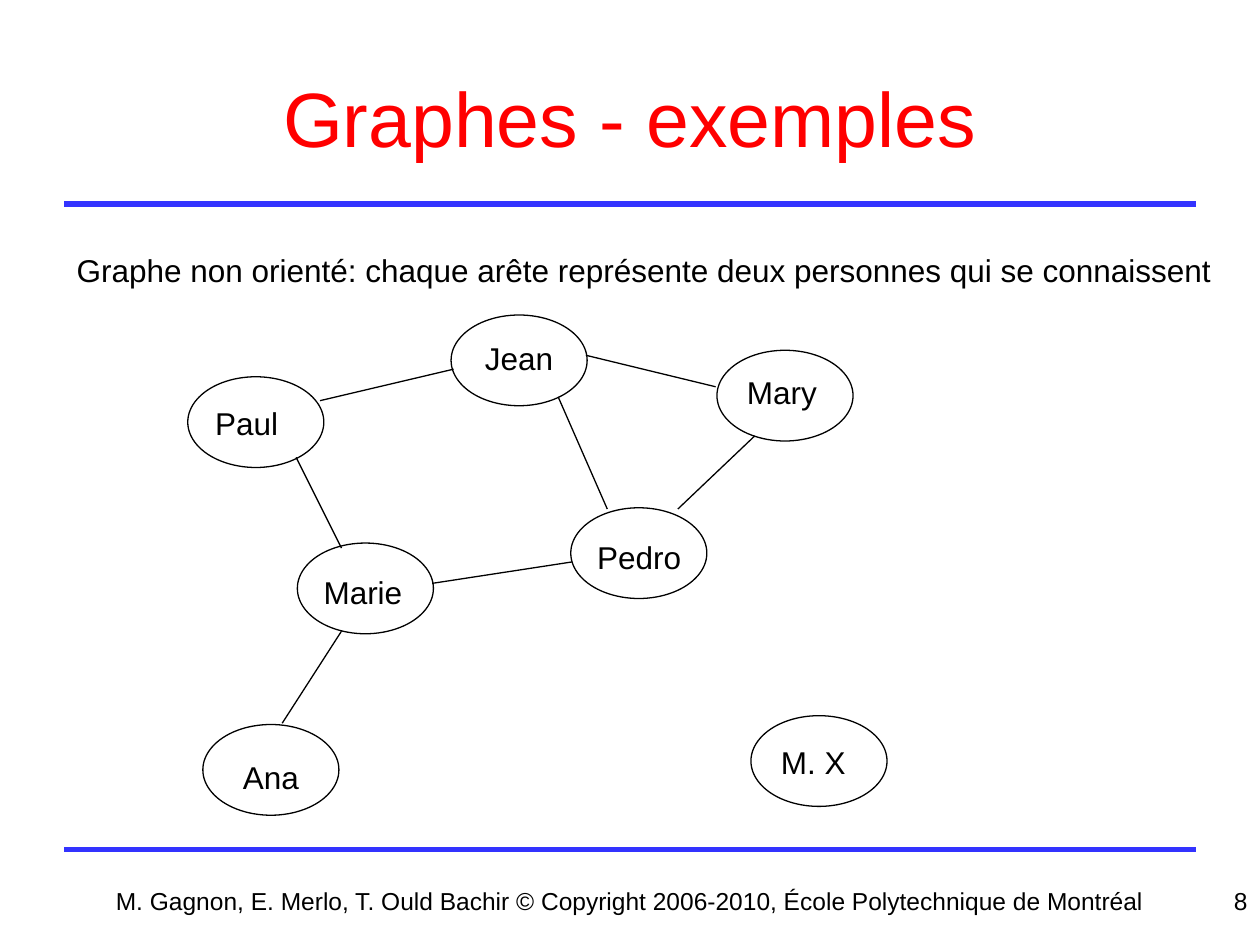
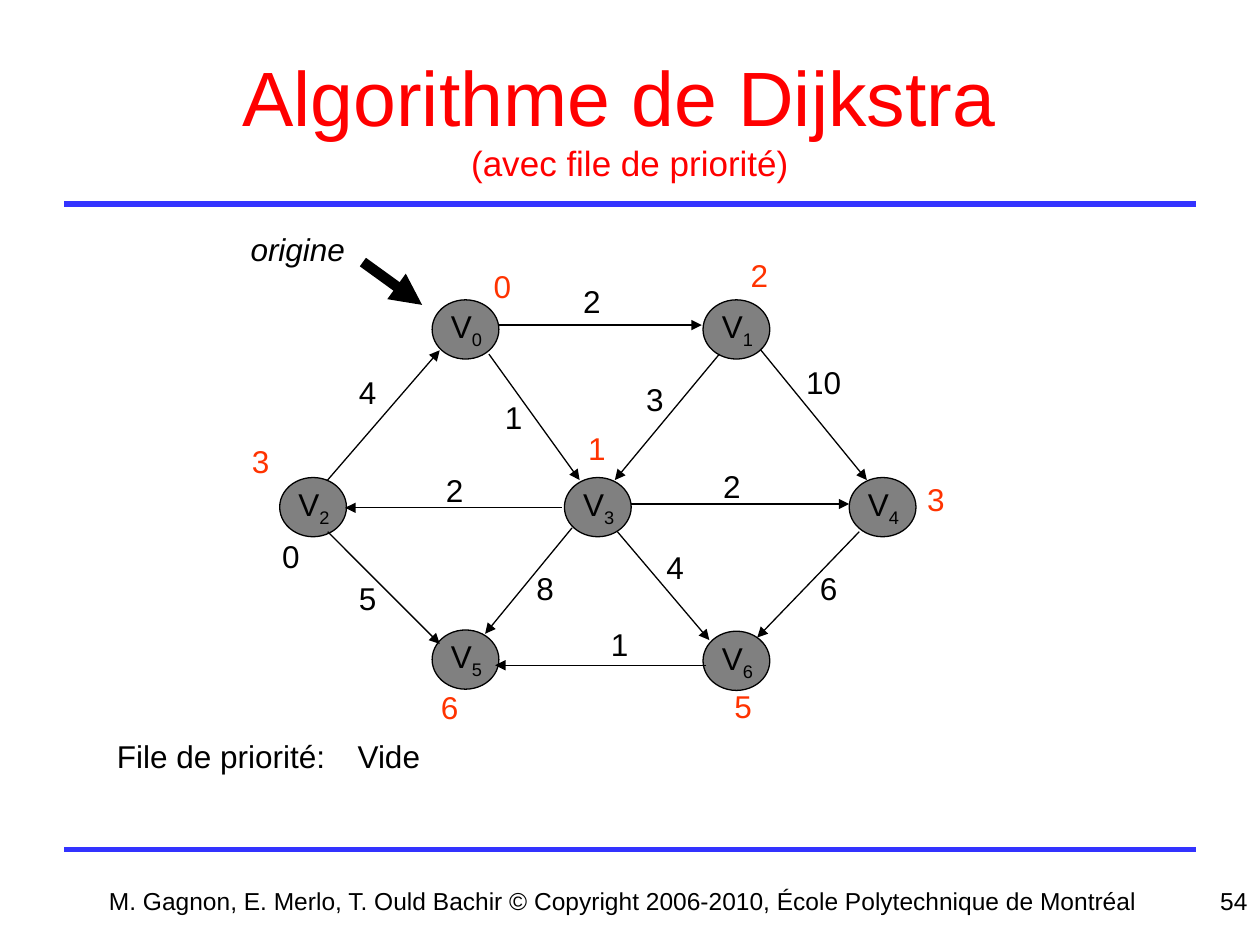
from dataclasses import dataclass

from lxml.etree import SubElement
from pptx import Presentation
from pptx.dml.color import RGBColor as RGB
from pptx.enum.shapes import MSO_CONNECTOR as Connector, MSO_SHAPE as Shape
from pptx.enum.text import MSO_ANCHOR as Anchor, MSO_AUTO_SIZE as AutoSize, PP_ALIGN as Align
from pptx.oxml.ns import qn
from pptx.util import Inches, Pt


@dataclass(frozen=True)
class Theme:
    """Colours, font and type sizes shared by the slides."""
    font: str = "Arial"
    ink: RGB = RGB(0, 0, 0)
    title: RGB = RGB(0xFF, 0, 0)
    band: RGB = RGB(0x33, 0x33, 0xFF)
    vertex: RGB = RGB(0x80, 0x80, 0x80)
    distance: RGB = RGB(0xFF, 0x33, 0)
    title_size: int = 44
    subtitle_size: int = 20
    body_size: int = 18
    footer_size: int = 14


@dataclass(frozen=True)
class Box:
    """A region of the slide, in inches."""
    left: float
    top: float
    width: float
    height: float

    def at(self, x, y, width=0, height=0):
        """Return a box placed relative to this one."""
        return Box(self.left + x, self.top + y, width, height)

    def lengths(self):
        """Return left, top, width and height as lengths."""
        return [Inches(v) for v in (self.left, self.top, self.width, self.height)]


THEME = Theme()
LABEL_HEIGHT = 0.4
DIGIT_WIDTH = 0.36
COPYRIGHT = "M. Gagnon, E. Merlo, T. Ould Bachir © Copyright 2006-2010, École Polytechnique de Montréal"

PEOPLE_SIZE = (1.08, 0.72)
PEOPLE = [  # name, ellipse position, label offset, label width
    ("Paul", (0.49, 0.99), (0.12, 0.17), 0.75),
    ("Jean", (2.58, 0.5), (0.17, 0.14), 0.8),
    ("Mary", (4.69, 0.78), (0.14, 0.13), 0.8),
    ("Marie", (1.36, 2.31), (0.11, 0.19), 0.87),
    ("Pedro", (3.53, 2.03), (0.11, 0.19), 0.91),
    ("Ana", (0.61, 3.75), (0.22, 0.22), 0.7),
    ("M. X", (4.96, 3.68), (0.14, 0.17), 0.77),
]
ACQUAINTANCES = [
    ((1.71, 3.01), (1.24, 3.74)),
    ((1.35, 1.63), (1.71, 2.35)),
    ((2.43, 2.63), (3.54, 2.46)),
    ((3.43, 1.15), (3.82, 2.04)),
    ((4.99, 1.46), (4.38, 2.04)),
    ((2.6, 0.93), (1.54, 1.18)),
    ((3.65, 0.82), (4.68, 1.07)),
]

VERTEX_SIZE = (0.53, 0.47)
VERTICES = [  # position, final distance, distance position
    ((2.43, 0.68), "0", (2.82, 0.37)),
    ((4.58, 0.68), "2", (4.86, 0.28)),
    ((1.22, 2.09), "3", (0.9, 1.76)),
    ((3.48, 2.09), "1", (3.57, 1.66)),
    ((5.74, 2.09), "3", (6.26, 2.06)),
    ((2.43, 3.3), "6", (2.4, 3.71)),
    ((4.58, 3.31), "5", (4.73, 3.7)),
]
ARCS = [  # weight, start, end, weight position
    ("2", (2.96, 0.88), (4.57, 0.88), (3.53, 0.49)),
    ("10", (5.04, 1.08), (5.88, 2.11), (5.3, 1.13)),
    ("6", (5.82, 2.52), (5.01, 3.36), (5.41, 2.77)),
    ("1", (4.6, 3.58), (2.93, 3.58), (3.75, 3.21)),
    ("5", (1.6, 2.52), (2.49, 3.41), (1.75, 2.85)),
    ("4", (1.6, 2.11), (2.49, 1.08), (1.75, 1.21)),
    ("1", (2.88, 1.11), (3.6, 2.11), (2.91, 1.41)),
    ("4", (3.9, 2.52), (4.63, 3.38), (4.19, 2.6)),
    ("3", (4.71, 1.11), (3.88, 2.11), (4.03, 1.27)),
    ("8", (3.54, 2.49), (2.85, 3.33), (3.16, 2.77)),
    ("2", (4.01, 2.3), (5.74, 2.3), (4.64, 1.96)),
    ("2", (3.46, 2.33), (1.74, 2.33), (2.44, 1.99)),
]


def add_text(slide, box, text, size=THEME.body_size, color=THEME.ink, align=Align.LEFT,
             anchor=Anchor.TOP, italic=False, subscript="", subtitle="", tab=None):
    """Add a text box, optionally with a subscript, a smaller second line or a tab stop."""
    frame = slide.shapes.add_textbox(*box.lengths()).text_frame
    frame.word_wrap = True
    frame.auto_size = AutoSize.NONE
    frame.vertical_anchor = anchor
    paragraph = frame.paragraphs[0]
    paragraph.alignment = align
    if tab:
        stops = SubElement(paragraph._p.get_or_add_pPr(), qn("a:tabLst"))
        SubElement(stops, qn("a:tab"), pos=str(Inches(tab)), algn="l")

    def add_run(words, points):
        """Append one run in the format of the box."""
        run = paragraph.add_run()
        run.text = words
        run.font.name, run.font.size = THEME.font, Pt(points)
        run.font.color.rgb, run.font.italic = color, italic
        return run

    add_run(text, size)
    if subscript:
        add_run(subscript, size)._r.get_or_add_rPr().set("baseline", "-25000")
    if subtitle:
        paragraph.add_line_break()
        add_run(subtitle, THEME.subtitle_size)


def add_line(slide, box, start, end, color=THEME.ink, width=0.75, arrow=False):
    """Draw a straight line between two points of the box."""
    ends = [box.at(*start), box.at(*end)]
    line = slide.shapes.add_connector(
        Connector.STRAIGHT, *(Inches(v) for p in ends for v in (p.left, p.top)))
    line.line.color.rgb = color
    line.line.width = Pt(width)
    if arrow:
        SubElement(line.line._get_or_add_ln(), qn("a:tailEnd"), type="triangle")
    SubElement(line._element.spPr, qn("a:effectLst"))


def add_ellipse(slide, box, fill=None):
    """Draw an outlined ellipse that fills the box."""
    ellipse = slide.shapes.add_shape(Shape.OVAL, *box.lengths())
    ellipse.shadow.inherit = False
    if fill is None:
        ellipse.fill.background()
    else:
        ellipse.fill.solid()
        ellipse.fill.fore_color.rgb = fill
    ellipse.line.color.rgb = THEME.ink
    ellipse.line.width = Pt(0.75)


def add_frame(slide, page, title, number, footer, subtitle=""):
    """Add the title, the two bands, the copyright line and the page number."""
    for y in (6.74, 1.62):
        add_line(slide, page, (0.51, y), (9.49, y), color=THEME.band, width=3)
    add_text(slide, page.at(0.5, 0.3, 9, 1.25), title, size=THEME.title_size, color=THEME.title,
             align=Align.CENTER, anchor=Anchor.MIDDLE, subtitle=subtitle)
    add_text(slide, footer, COPYRIGHT, size=THEME.footer_size, align=Align.CENTER)
    add_text(slide, page.at(7.67, 6.98, 2.33, 0.52), number, size=THEME.footer_size,
             align=Align.RIGHT)


def add_people_graph(slide, box):
    """Draw the undirected graph of people who know each other."""
    for name, place, (dx, dy), width in PEOPLE:
        ellipse = box.at(*place, *PEOPLE_SIZE)
        add_ellipse(slide, ellipse)
        add_text(slide, ellipse.at(dx, dy, width, LABEL_HEIGHT), name)
    for start, end in ACQUAINTANCES:
        add_line(slide, box, start, end)


def add_weighted_graph(slide, box):
    """Draw the directed graph with its weights, distances and origin."""
    for index, (place, distance, distance_place) in enumerate(VERTICES):
        vertex = box.at(*place, *VERTEX_SIZE)
        add_ellipse(slide, vertex, fill=THEME.vertex)
        add_text(slide, vertex.at(0.05, 0.01, 0.48, 0.44), "V", subscript=str(index))
        add_text(slide, box.at(*distance_place, DIGIT_WIDTH, LABEL_HEIGHT), distance,
                 color=THEME.distance)
    for weight, start, end, weight_place in ARCS:
        add_line(slide, box, start, end, arrow=True)
        width = DIGIT_WIDTH + 0.14 * (len(weight) - 1)
        add_text(slide, box.at(*weight_place, width, LABEL_HEIGHT), weight)
    add_text(slide, box.at(1.14, 2.51, DIGIT_WIDTH, LABEL_HEIGHT), "0")
    add_text(slide, box.at(0.89, 0.08, 1, LABEL_HEIGHT), "origine", italic=True)
    add_line(slide, box, (1.88, 0.38), (2.35, 0.72), width=6, arrow=True)


def build_examples(slide, page):
    """Build the slide with the example of an undirected graph."""
    add_frame(slide, page, "Graphes - exemples", "8", page.at(0, 6.98, 10, 0.52))
    add_text(slide, page.at(0.51, 1.94, 9.3, LABEL_HEIGHT),
             "Graphe non orienté: chaque arête représente deux personnes qui se connaissent")
    add_people_graph(slide, page.at(1, 2, 6.1, 4.5))


def build_dijkstra(slide, page):
    """Build the slide with the last step of Dijkstra's algorithm."""
    add_frame(slide, page, "Algorithme de Dijkstra ", "54", page.at(0.63, 6.98, 8.63, 0.52),
              subtitle="(avec file de priorité)")
    add_weighted_graph(slide, page.at(1, 1.7, 6.6, 4.1))
    add_text(slide, page.at(0.83, 5.8, 4.93, 1.13), "File de priorité:\tVide", tab=1.91)


def main():
    """Build and save the presentation."""
    deck = Presentation()
    page = Box(0, 0, 10, 7.5)
    deck.slide_width, deck.slide_height = Inches(page.width), Inches(page.height)
    for build in (build_examples, build_dijkstra):
        build(deck.slides.add_slide(deck.slide_layouts[6]), page)
    deck.save("out.pptx")


if __name__ == "__main__":
    main()
